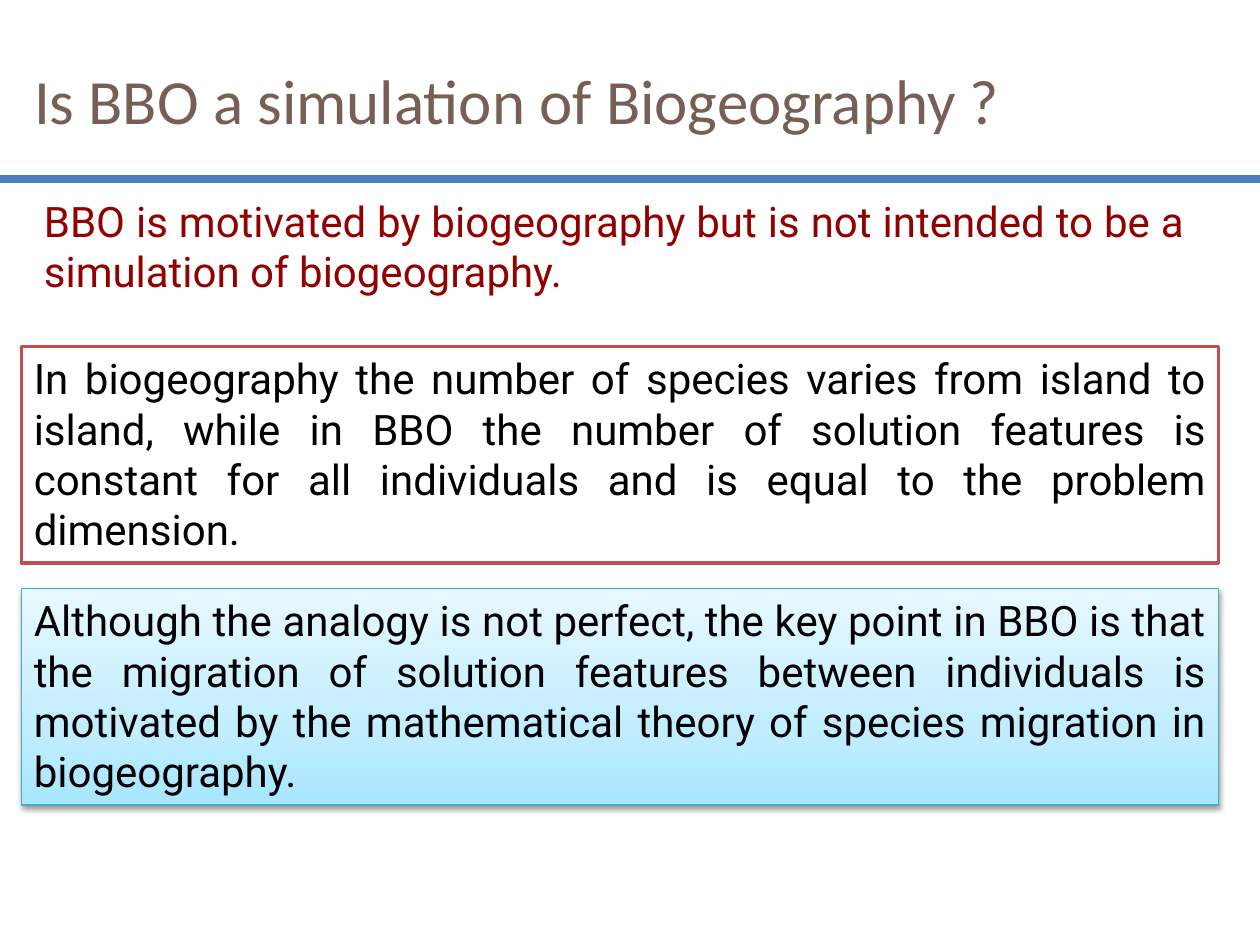
from copy import deepcopy

from lxml.etree import SubElement
from pptx import Presentation
from pptx.dml.color import RGBColor
from pptx.enum.shapes import MSO_CONNECTOR, MSO_SHAPE
from pptx.enum.text import MSO_ANCHOR, MSO_AUTO_SIZE, PP_ALIGN
from pptx.oxml.ns import qn
from pptx.util import Inches, Pt

WIDTH, HEIGHT = Inches(10), Inches(7.5)
MARGIN = Inches(0.17)
BOX_WIDTH, BOX_HEIGHT = Inches(9.5), Inches(1.72)
FIRST_BOX_TOP, BOX_PITCH = Inches(2.75), Inches(1.92)
RULE_TOP = Inches(1.42)

BROWN = RGBColor(0x77, 0x5F, 0x55)
DARK_RED = RGBColor(0x92, 0x00, 0x00)
BLACK = RGBColor(0x00, 0x00, 0x00)
WHITE = RGBColor(0xFF, 0xFF, 0xFF)
BLUE = RGBColor(0x4B, 0x7E, 0xBC)
RED = RGBColor(0xC0, 0x50, 0x4D)
TEAL = RGBColor(0x46, 0xAA, 0xC5)
SKY_STOPS = [
    (0, RGBColor(0xA7, 0xE6, 0xFF)),
    (0.35, RGBColor(0xC1, 0xED, 0xFF)),
    (1, RGBColor(0xE7, 0xF8, 0xFF)),
]

TITLE = "Is BBO a simulation of Biogeography ?"
MOTIVATION = (
    "BBO is motivated by biogeography but is not intended to be a "
    "simulation of biogeography."
)
DIFFERENCE = (
    "In biogeography the number of species varies from island to island, "
    "while in BBO the number of solution features is constant for all "
    "individuals and is equal to the problem dimension."
)
KEY_POINT = (
    "Although the analogy is not perfect, the key point in BBO is that the "
    "migration of solution features between individuals is motivated by the "
    "mathematical theory of species migration in biogeography."
)


def write_text(shape, text, font_name, size, color, alignment, anchor):
    frame = shape.text_frame
    frame.text = text
    frame.word_wrap = True
    frame.vertical_anchor = anchor
    paragraph = frame.paragraphs[0]
    paragraph.alignment = alignment
    font = paragraph.runs[0].font
    font.name, font.size = font_name, Pt(size)
    font.color.rgb = color


def write_body(shape, text, color):
    write_text(shape, text, "Roboto", 24, color, PP_ALIGN.JUSTIFY, MSO_ANCHOR.TOP)
    shape.text_frame.auto_size = MSO_AUTO_SIZE.SHAPE_TO_FIT_TEXT


def set_title(slide):
    title = slide.shapes.title
    title.left, title.top = MARGIN, Inches(0.25)
    title.width, title.height = Inches(9.75), Inches(1.08)
    write_text(title, TITLE, "Calibri", 36, BROWN, PP_ALIGN.LEFT, MSO_ANCHOR.MIDDLE)
    title.text_frame.auto_size = MSO_AUTO_SIZE.NONE


def add_rule(slide):
    rule = slide.shapes.add_connector(
        MSO_CONNECTOR.STRAIGHT, 0, RULE_TOP, WIDTH, RULE_TOP
    )
    rule.line.color.rgb = BLUE
    rule.line.width = Pt(4.5)
    SubElement(rule._element.spPr, qn("a:effectLst"))


def add_box(slide, row, text, line_color, line_width):
    box = slide.shapes.add_shape(
        MSO_SHAPE.RECTANGLE, MARGIN, FIRST_BOX_TOP + row * BOX_PITCH,
        BOX_WIDTH, BOX_HEIGHT,
    )
    box.shadow.inherit = False
    box.fill.solid()
    box.fill.fore_color.rgb = WHITE
    box.line.color.rgb = line_color
    box.line.width = Pt(line_width)
    write_body(box, text, BLACK)
    return box


def fill_with_gradient(shape, stops):
    shape.fill.gradient()
    shape.fill.gradient_angle = 90
    stop_list = shape._element.spPr.find(".//" + qn("a:gsLst"))
    stop_list.append(deepcopy(stop_list[0]))
    for stop, (position, color) in zip(shape.fill.gradient_stops, stops):
        stop.position = position
        stop.color.rgb = color


def add_shadow(shape):
    effects = shape._element.spPr.find(qn("a:effectLst"))
    shadow = SubElement(
        effects, qn("a:outerShdw"), blurRad=str(Pt(3.1)), dist=str(Pt(1.6)),
        dir="5400000", rotWithShape="0",
    )
    color = SubElement(shadow, qn("a:srgbClr"), val=str(BLACK))
    SubElement(color, qn("a:alpha"), val="38000")


def main():
    presentation = Presentation()
    presentation.slide_width, presentation.slide_height = WIDTH, HEIGHT
    slide = presentation.slides.add_slide(presentation.slide_layouts[5])

    set_title(slide)
    add_rule(slide)
    motivation = slide.shapes.add_textbox(
        Inches(0.25), Inches(1.5), Inches(9.25), Inches(0.91)
    )
    write_body(motivation, MOTIVATION, DARK_RED)
    add_box(slide, 0, DIFFERENCE, RED, 2)
    key_box = add_box(slide, 1, KEY_POINT, TEAL, 0.75)
    fill_with_gradient(key_box, SKY_STOPS)
    add_shadow(key_box)

    presentation.save("out.pptx")


if __name__ == "__main__":
    main()
